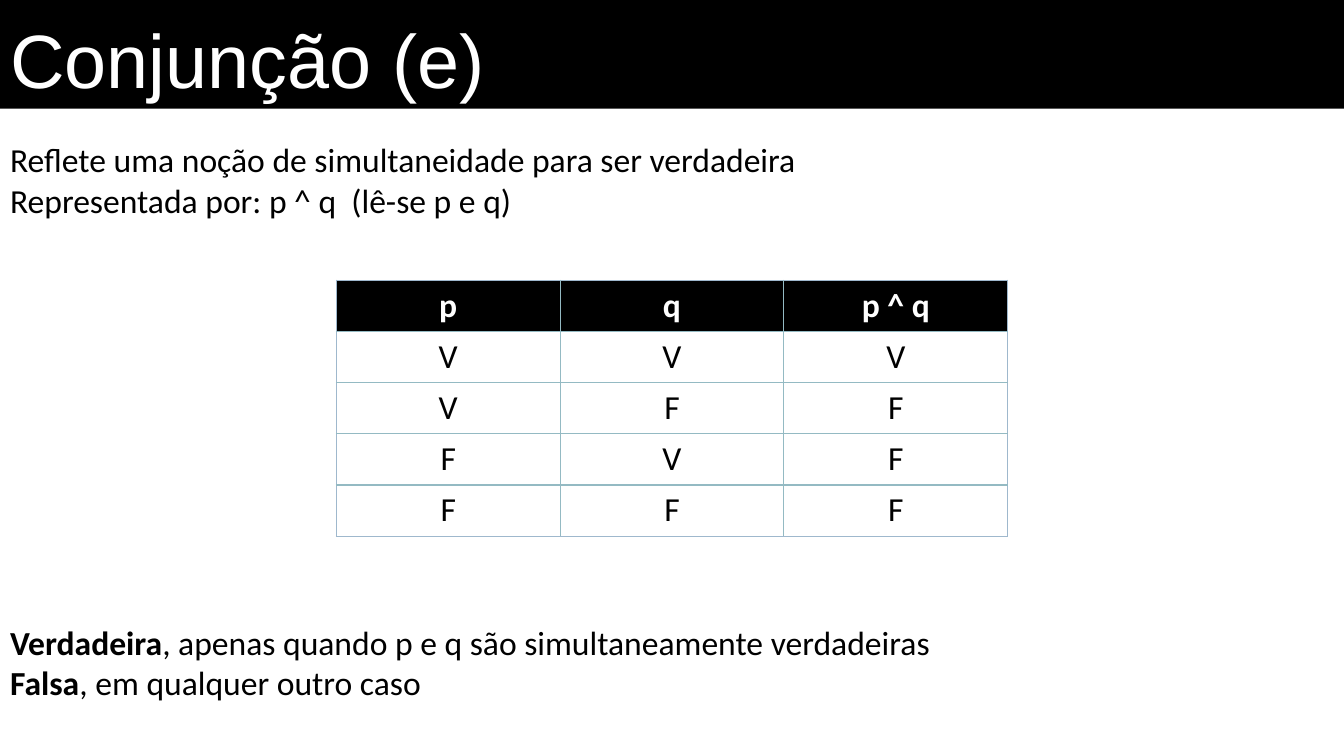
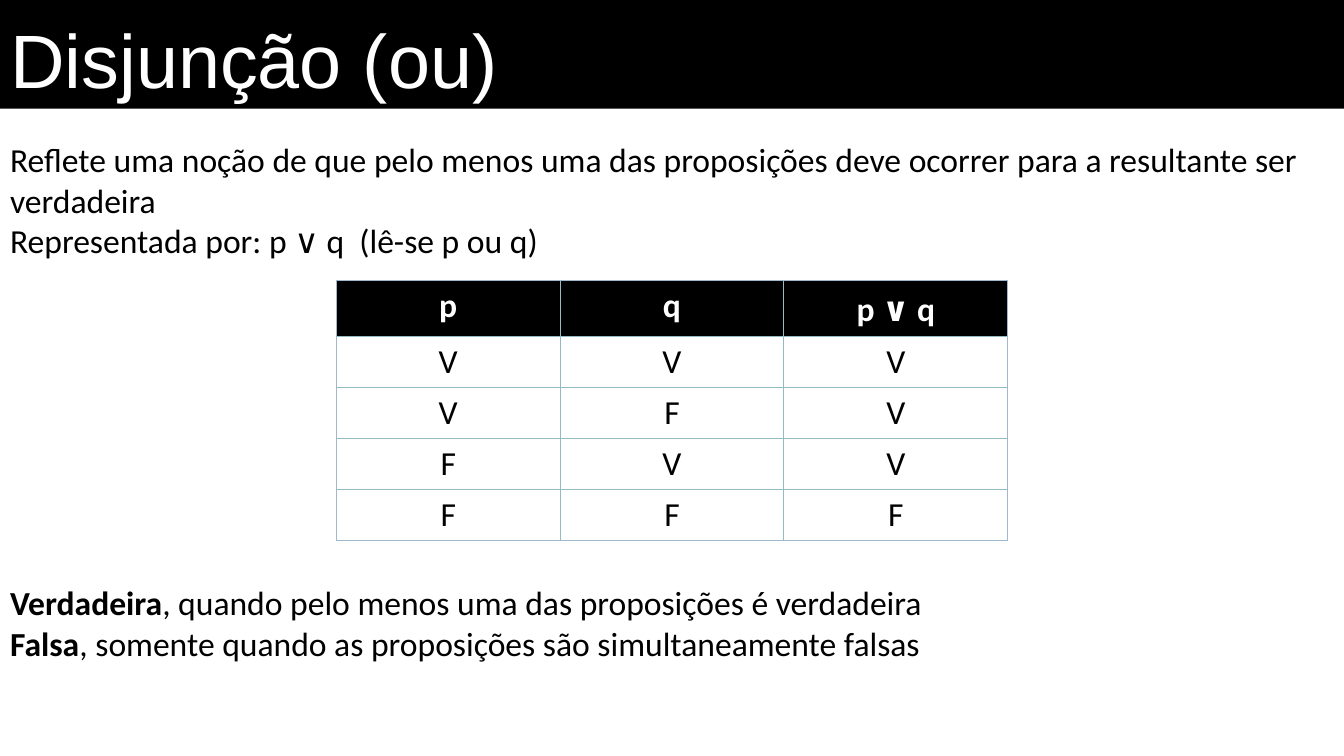
from collections.abc import Callable
from dataclasses import dataclass
from itertools import product

from lxml.etree import SubElement
from pptx import Presentation
from pptx.dml.color import RGBColor
from pptx.enum.text import MSO_ANCHOR as Anchor, MSO_AUTO_SIZE as AutoSize, PP_ALIGN as Align
from pptx.oxml.ns import qn
from pptx.util import Cm, Pt


@dataclass(frozen=True)
class Theme:
    black: str = "000000"
    white: str = "FFFFFF"
    outer_border: str = "9FB8CD"
    inner_border: str = "94BAC3"
    outer_width: float = 0.75
    inner_width: float = 0.96
    title_font: str = "Arial"
    body_font: str = "Calibri"
    symbol_font: str = "Noto Sans"
    title_size: int = 54
    body_size: int = 24


@dataclass(frozen=True)
class Connective:
    title: str
    intro: tuple[str, ...]
    formula: str
    rule: Callable[[bool, bool], bool]
    true_case: str
    false_case: str
    gap: int  # points between the introduction and the two cases


THEME = Theme()
WIDTH, HEIGHT = Cm(33.87), Cm(19.05)
OR = "∨"

CONNECTIVES = (
    Connective(
        title="Conjunção (e)",
        intro=("Reflete uma noção de simultaneidade para ser verdadeira",
               "Representada por: p ^ q  (lê-se p e q)"),
        formula="p ^ q",
        rule=lambda p, q: p and q,
        true_case=", apenas quando p e q são simultaneamente verdadeiras",
        false_case=", em qualquer outro caso",
        gap=287,
    ),
    Connective(
        title="Disjunção (ou)",
        intro=("Reflete uma noção de que pelo menos uma das proposições deve "
               "ocorrer para a resultante ser verdadeira",
               "Representada por: p ∨ q  (lê-se p ou q)"),
        formula="p ∨ q",
        rule=lambda p, q: p or q,
        true_case=", quando pelo menos uma das proposições é verdadeira",
        false_case=", somente quando as proposições são simultaneamente falsas",
        gap=230,
    ),
)


def set_all(obj, values: dict) -> None:
    for name, value in values.items():
        setattr(obj, name, value)


def add_run(p, text: str, color: str, size: int, font: str, bold: bool = False) -> None:
    r = p.add_run()
    r.text = text
    set_all(r.font, {"name": font, "size": Pt(size), "bold": bold})
    r.font.color.rgb = RGBColor.from_string(color)


def add_text(p, text: str, color: str = THEME.black, bold: bool = False) -> None:
    """Write body text, giving the logical symbol its own font."""
    before, symbol, after = text.partition(OR)
    for part in filter(None, (before, symbol, after)):
        font = THEME.symbol_font if part == OR else THEME.body_font
        add_run(p, part, color, THEME.body_size, font, bold)


def place(sp, left: int, top: int, width: int, height: int) -> None:
    set_all(sp, {"left": left, "top": top, "width": width, "height": height})


def draw_title(s, text: str) -> None:
    sp = s.shapes.title
    place(sp, 0, 0, WIDTH, Cm(2.74))
    sp.fill.solid()
    sp.fill.fore_color.rgb = RGBColor.from_string(THEME.black)
    tf = sp.text_frame
    set_all(tf, {"vertical_anchor": Anchor.BOTTOM, "auto_size": AutoSize.NONE,
                 "word_wrap": True})
    p = tf.paragraphs[0]
    p.alignment = Align.LEFT
    add_run(p, text, THEME.white, THEME.title_size, THEME.title_font)


def draw_body(s, item: Connective) -> None:
    sp = s.placeholders[1]
    place(sp, 0, Cm(3.38), WIDTH, Cm(13.72))
    tf = sp.text_frame
    set_all(tf, {"vertical_anchor": Anchor.TOP, "auto_size": AutoSize.NONE,
                 "word_wrap": True})
    lines = [("", text, 0) for text in item.intro]
    lines += [("Verdadeira", item.true_case, item.gap), ("Falsa", item.false_case, 0)]
    for i, (lead, text, space) in enumerate(lines):
        p = tf.add_paragraph() if i else tf.paragraphs[0]
        pPr = p._p.get_or_add_pPr()
        pPr.set("marL", "0")
        pPr.set("indent", "0")
        SubElement(pPr, qn("a:buNone"))
        set_all(p, {"alignment": Align.LEFT, "space_before": Pt(space),
                    "space_after": Pt(0)})
        add_text(p, lead, bold=True)
        add_text(p, text)


def set_border(cell, side: str, outer: bool) -> None:
    width = THEME.outer_width if outer else THEME.inner_width
    color = THEME.outer_border if outer else THEME.inner_border
    ln = SubElement(cell._tc.get_or_add_tcPr(), qn(f"a:ln{side}"), w=str(Pt(width)))
    fill = SubElement(ln, qn("a:solidFill"))
    SubElement(fill, qn("a:srgbClr"), val=color)


def draw_truth_table(s, item: Connective) -> None:
    rows = [("p", "q", item.formula)]
    for p, q in product((True, False), repeat=2):
        rows.append(tuple("V" if v else "F" for v in (p, q, item.rule(p, q))))
    n_rows, n_cols = len(rows), len(rows[0])
    col_width, row_height = Cm(5.64), Cm(1.29)
    width = col_width * n_cols
    table = s.shapes.add_table(n_rows, n_cols, (WIDTH - width) // 2, Cm(7.06),
                               width, row_height * n_rows).table
    table.horz_banding = False
    for i, row in enumerate(rows):
        for j, text in enumerate(row):
            cell = table.cell(i, j)
            edges = {"L": j == 0, "R": j == n_cols - 1,
                     "T": i == 0, "B": i == n_rows - 1}
            for side, outer in edges.items():
                set_border(cell, side, outer)
            header = i == 0
            if header:
                cell.fill.solid()
                cell.fill.fore_color.rgb = RGBColor.from_string(THEME.black)
            else:
                cell.fill.background()
            p = cell.text_frame.paragraphs[0]
            p.alignment = Align.CENTER
            add_text(p, text, THEME.white if header else THEME.black, header)


def main() -> None:
    prs = Presentation()
    set_all(prs, {"slide_width": WIDTH, "slide_height": HEIGHT})
    for item in CONNECTIVES:
        s = prs.slides.add_slide(prs.slide_layouts[1])
        draw_title(s, item.title)
        draw_body(s, item)
        draw_truth_table(s, item)
    prs.save("out.pptx")


if __name__ == "__main__":
    main()
